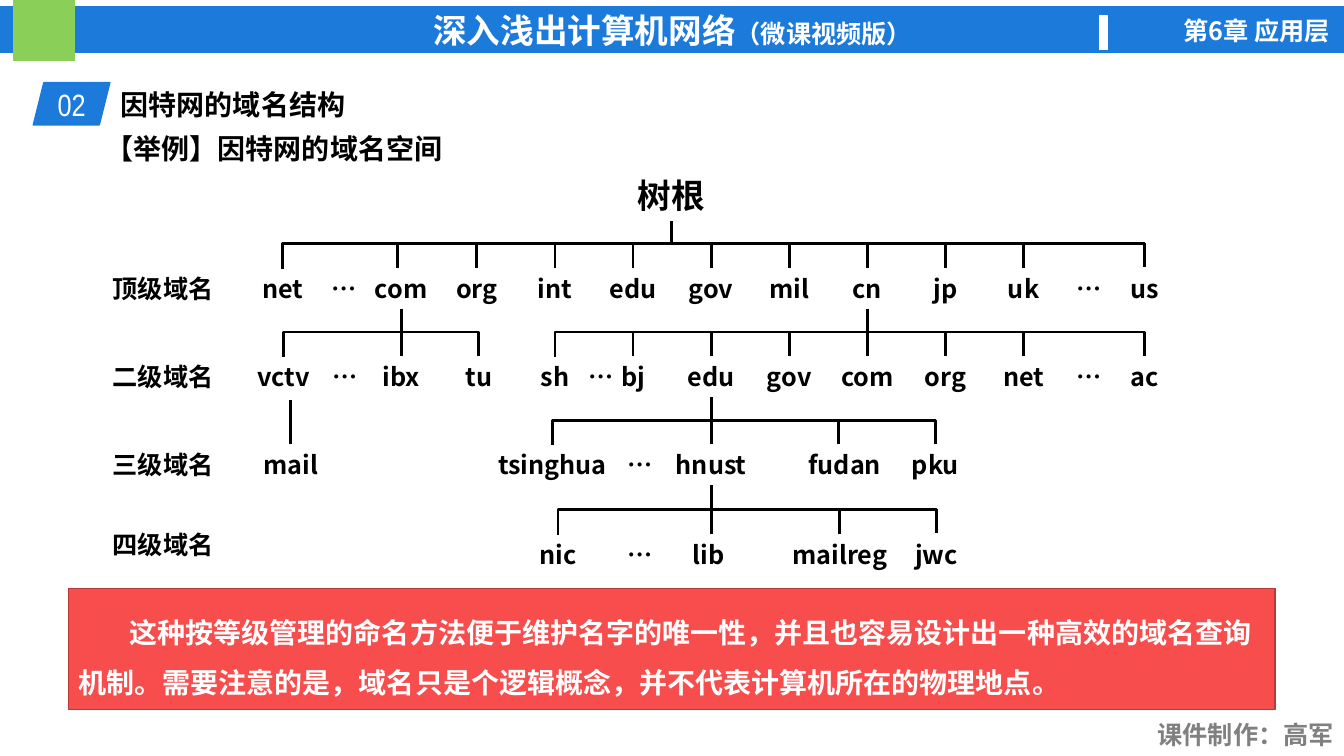
from dataclasses import dataclass
from typing import Optional

from lxml.etree import SubElement
from pptx import Presentation
from pptx.dml.color import RGBColor
from pptx.enum.shapes import MSO_CONNECTOR as Link, MSO_SHAPE as Shape
from pptx.enum.text import MSO_ANCHOR as Anchor, PP_ALIGN as Align
from pptx.oxml.ns import qn
from pptx.util import Pt

COLORS = {"blue": "1B7ADA", "green": "8ACF57", "white": "FFFFFF", "black": "000000",
          "gray": "808080", "red": "F84D4D", "dark red": "B73939"}
NARROW, NOTO = "Arial Narrow", "Noto Sans CJK SC"

# Geometry of the tree
LABEL_HEIGHT = 29
RAIL_RISE = 17.5
TOPS = {1: 191.5, 2: 254.5, 3: 317.5, 4: 381.6}
COM_COLUMN, LAST_COLUMN = 286.6, 817.5


def column(index: int) -> float:
    return 340.6 + 55.8 * index


@dataclass
class Span:
    text: str
    size: float
    color: str = "black"
    font: str = NOTO
    bold: bool = True


@dataclass
class Block:
    left: float
    top: float
    width: float
    height: float
    spans: tuple[Span, ...] = ()
    align: Align = Align.LEFT
    shape: Optional[Shape] = None
    fill: str = "white"
    line: Optional[str] = None
    margin: float = 7.2
    indent: float = 0
    spacing: Optional[float] = None


@dataclass
class Node:
    text: str
    x: float
    width: float = 55
    drop_x: Optional[float] = None


@dataclass
class Branch:
    level: int
    nodes: list[Node]
    trunk: Optional[str] = None


def rgb(name: str) -> RGBColor:
    return RGBColor.from_string(COLORS[name])


def draw_block(page, block: Block):
    place = [Pt(n) for n in (block.left, block.top, block.width, block.height)]
    if block.shape is None:
        box = page.shapes.add_textbox(*place)
    else:
        box = page.shapes.add_shape(block.shape, *place)
        box.shadow.inherit = False
        box.fill.solid()
        box.fill.fore_color.rgb = rgb(block.fill)
        if block.line:
            box.line.color.rgb = rgb(block.line)
            box.line.width = Pt(1)
        else:
            box.line.fill.background()
    if not block.spans:
        return box
    frame = box.text_frame
    frame.word_wrap = True
    frame.vertical_anchor = Anchor.MIDDLE if block.shape else Anchor.TOP
    frame.margin_left = frame.margin_right = Pt(block.margin)
    para = frame.paragraphs[0]
    para.alignment = block.align
    if block.spacing:
        para.line_spacing = block.spacing
    if block.indent:
        para._p.get_or_add_pPr().set("indent", str(Pt(block.indent)))
    for span in block.spans:
        run = para.add_run()
        run.text = span.text
        run.font.size = Pt(span.size)
        run.font.bold = span.bold
        run.font.color.rgb = rgb(span.color)
        run.font.name = span.font
        SubElement(run._r.get_or_add_rPr(), qn("a:ea")).set("typeface", NOTO)
    return box


def draw_line(page, x1: float, y1: float, x2: float, y2: float, kind=Link.STRAIGHT):
    line = page.shapes.add_connector(kind, Pt(x1), Pt(y1), Pt(x2), Pt(y2))
    line.line.color.rgb = rgb("black")
    line.line.width = Pt(2)
    SubElement(line._element.spPr, qn("a:effectLst"))
    return line


def draw_rail(page, left: float, right: float, top: float) -> None:
    """Elbow from the first node up, across and down to the last node."""
    x, half = (left + right) / 2, (right - left) / 2
    rail = draw_line(page, x + 0.5, top + half, x - 0.5, top - half, Link.ELBOW)
    properties = rail._element.spPr
    properties.find(qn("a:xfrm")).set("rot", str(90 * 60000))
    geometry = properties.find(qn("a:prstGeom"))
    adjustments = geometry.find(qn("a:avLst"))
    if adjustments is None:
        adjustments = SubElement(geometry, qn("a:avLst"))
    guide = SubElement(adjustments, qn("a:gd"))
    guide.set("name", "adj1")
    guide.set("fmla", f"val {round((RAIL_RISE + 0.5) * 100000)}")


def draw_node(page, node: Node, top: float):
    return draw_block(page, Block(node.x - node.width / 2, top, node.width, LABEL_HEIGHT,
                                  (Span(node.text, 18),), Align.CENTER))


def draw_branch(page, branch: Branch, parent) -> dict:
    top, nodes = TOPS[branch.level], branch.nodes
    rail_y = top - RAIL_RISE
    parent_x = (parent.left + parent.width / 2) / Pt(1)
    boxes = {}
    for index, node in enumerate(nodes):
        boxes[node.text] = box = draw_node(page, node, top)
        is_trunk = node.text == branch.trunk
        if node.text == "…" or index in (0, len(nodes) - 1):
            continue
        x = node.drop_x or node.x
        drop = draw_line(page, parent_x if is_trunk else x, rail_y, x, top)
        if is_trunk:
            drop.begin_connect(parent, 2)
        if node.drop_x is None:
            drop.end_connect(box, 0)
    draw_rail(page, nodes[0].x, nodes[-1].x, top)
    if branch.trunk is None:
        draw_line(page, parent_x, rail_y - 18, parent_x, rail_y).begin_connect(parent, 2)
    return boxes


def dots(x: float) -> Node:
    return Node("…", x, 25.2)


def columns(names: str, first: int) -> list[Node]:
    return [Node(name, column(i)) for i, name in enumerate(names.split(), first)]


BLOCKS = [
    # Header and footer
    Block(0, 5, 961, 32.4, (Span("深入浅出计算机网络", 24, "white", NARROW),
                            Span("（微课视频版）", 18, "white", NARROW)),
          Align.CENTER, Shape.RECTANGLE, "blue", "blue"),
    Block(10, 0, 43.2, 43.2, shape=Shape.RECTANGLE, fill="green", line="green"),
    Block(785.5, 11.5, 5.8, 23.8, shape=Shape.RECTANGLE, line="white"),
    Block(800, 7.2, 157, 29, (Span("第6章 应用层", 18, "white"),), Align.RIGHT),
    Block(816.5, 510.5, 143.3, 29, (Span("课件制作：高军", 18, "gray", NARROW),), Align.RIGHT),
    # Section heading
    Block(23.8, 59, 54.7, 30.2, (Span("02", 22, "white", NARROW, False),),
          Align.CENTER, Shape.PARALLELOGRAM, "blue", "blue", margin=0),
    Block(79.2, 59, 432.7, 31.7, (Span("因特网的域名结构", 20),)),
    Block(68.4, 90.7, 274.3, 30.2, (Span("【举例】因特网的域名空间", 20, font=NARROW),),
          shape=Shape.RECTANGLE),
    # Level captions
    *(Block(73.4, top, 96.5, LABEL_HEIGHT, (Span(caption, 18),)) for caption, top in
      (("顶级域名", 191.5), ("二级域名", 254.5), ("三级域名", 317.5), ("四级域名", 374.4))),
    # Conclusion
    Block(49, 420.5, 861.8, 86.4, (Span(
        "这种按等级管理的命名方法便于维护名字的唯一性，并且也容易设计出一种高效的域名查询机制。"
        "需要注意的是，域名只是个逻辑概念，并不代表计算机所在的物理地点。", 20, "white", NARROW),),
          shape=Shape.RECTANGLE, fill="red", line="dark red", indent=36.5, spacing=1.5),
]

TOP_LEVEL = Branch(1, [Node("net", 202), dots(242.3), Node("com", COM_COLUMN, 60, 283.7),
                       *columns("org int edu gov mil cn jp uk", 0),
                       dots(774.4), Node("us", LAST_COLUMN)])
UNDER_COM = Branch(2, [Node("vctv", 202.7), dots(243), Node("ibx", COM_COLUMN),
                       Node("tu", 342)], "ibx")
UNDER_CN = Branch(2, [Node("sh", column(1)), dots(425.9),
                      *columns("bj edu gov com org net", 2),
                      dots(774.4), Node("ac", LAST_COLUMN)], "com")
UNDER_EDU = Branch(3, [Node("tsinghua", 394.6, 94), dots(454), Node("hnust", column(3), 68),
                       Node("fudan", 603.4, 71, 599), Node("pku", 668.2)], "hnust")
UNDER_HNUST = Branch(4, [Node("nic", 398.5), dots(454), Node("lib", 506.2, drop_x=column(3)),
                         Node("mailreg", 599.8, 90), Node("jwc", 668.9)], "lib")


def main() -> None:
    deck = Presentation()
    deck.slide_width, deck.slide_height = Pt(960), Pt(540)
    page = deck.slides.add_slide(deck.slide_layouts[6])
    for block in BLOCKS:
        draw_block(page, block)

    # Domain tree, from the root down
    root = draw_block(page, Block(447.8, 121.7, 63.4, 36, (Span("树根", 24),), Align.CENTER))
    first = draw_branch(page, TOP_LEVEL, root)
    draw_branch(page, UNDER_COM, first["com"])
    second = draw_branch(page, UNDER_CN, first["cn"])
    third = draw_branch(page, UNDER_EDU, second["edu"])
    draw_branch(page, UNDER_HNUST, third["hnust"])

    # Single mail host
    mail = Node("mail", 207.7, 57)
    mail_box = draw_node(page, mail, TOPS[3])
    draw_line(page, mail.x, 285.8, mail.x, TOPS[3]).end_connect(mail_box, 0)
    deck.save("out.pptx")


if __name__ == "__main__":
    main()
